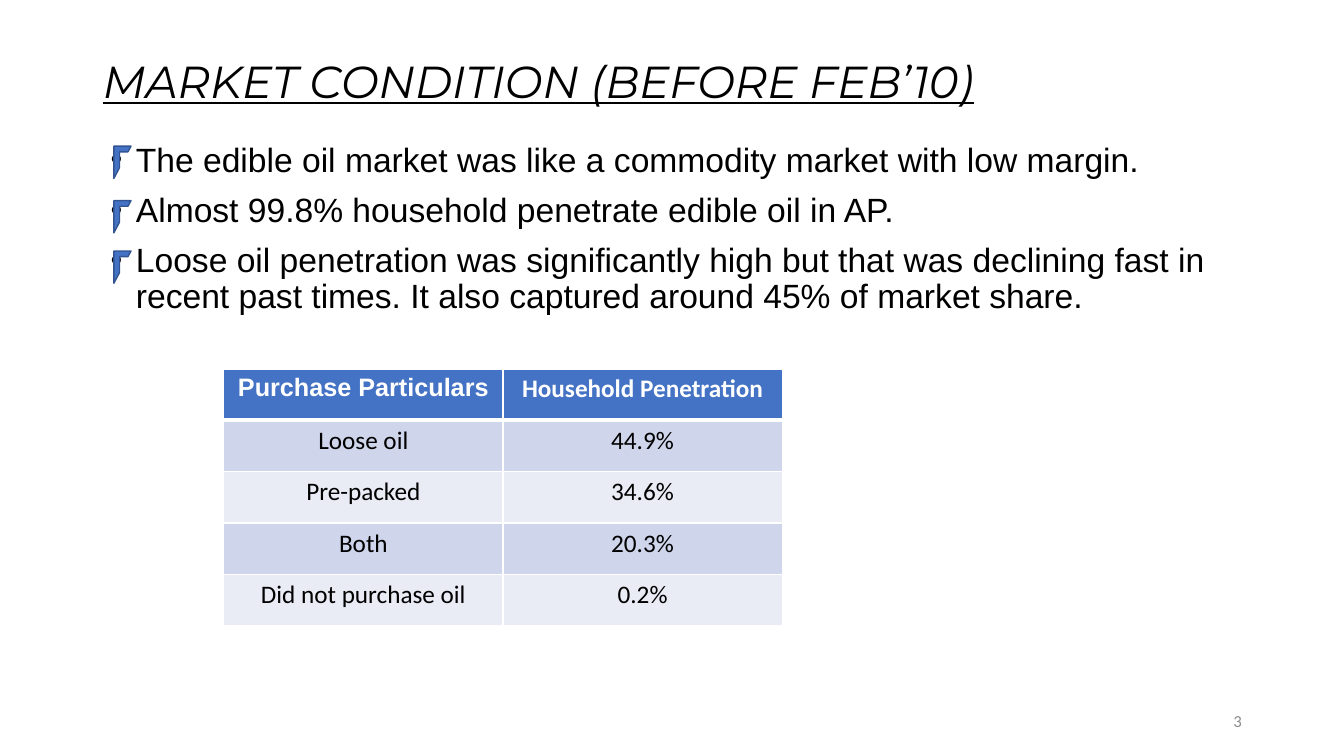
from dataclasses import dataclass

from lxml.etree import SubElement
from pptx import Presentation
from pptx.dml.color import RGBColor
from pptx.enum.shapes import MSO_SHAPE
from pptx.enum.text import MSO_ANCHOR, MSO_AUTO_SIZE, PP_ALIGN
from pptx.oxml.ns import qn
from pptx.util import Inches, Pt


@dataclass(frozen=True)
class Theme:
    """Colours, fonts and type sizes of the deck."""
    ink: str = "000000"
    paper: str = "FFFFFF"
    accent: str = "4472C4"
    accent_edge: str = "325491"
    bands: tuple = ("CFD5EA", "E9EBF5")
    muted: str = "8C8C8C"
    title_font: str = "Montserrat"
    body_font: str = "Arial"
    table_font: str = "Calibri"
    title_size: int = 32
    body_size: int = 24
    table_size: int = 18
    number_size: int = 12


class SlideBuilder:
    """Places styled elements on a slide by grid columns and rows."""
    COLUMNS, ROWS = 40, 30

    def __init__(self, presentation, theme):
        """Add a title-only slide to the presentation."""
        self.theme = theme
        self.column = presentation.slide_width / self.COLUMNS
        self.row = presentation.slide_height / self.ROWS
        self.slide = presentation.slides.add_slide(presentation.slide_layouts[5])

    def box(self, left, top, width, height):
        """Turn grid units into lengths."""
        return (round(left * self.column), round(top * self.row),
                round(width * self.column), round(height * self.row))

    def style(self, paragraph, font_name, size, color, bold=False):
        """Format every run of a paragraph."""
        for run in paragraph.runs:
            run.font.name = font_name
            run.font.size = Pt(size)
            run.font.bold = bold
            run.font.color.rgb = RGBColor.from_string(color)

    def title(self, text, *area):
        """Fill and place the title placeholder."""
        shape = self.slide.shapes.title
        shape.left, shape.top, shape.width, shape.height = self.box(*area)
        frame = shape.text_frame
        frame.text = text
        frame.auto_size = MSO_AUTO_SIZE.NONE
        frame.vertical_anchor = MSO_ANCHOR.MIDDLE
        paragraph = frame.paragraphs[0]
        paragraph.alignment = PP_ALIGN.LEFT
        paragraph.line_spacing = 0.9
        self.style(paragraph, self.theme.title_font, self.theme.title_size, self.theme.ink)
        for run in paragraph.runs:
            run.font.italic = True
            run.font.underline = True

    def text_box(self, text, *area):
        """Add a wrapping text box and return its frame."""
        frame = self.slide.shapes.add_textbox(*self.box(*area)).text_frame
        frame.word_wrap = True
        frame.text = text
        return frame

    def bullets(self, points, *area):
        """Add a bulleted list, one paragraph for each point."""
        frame = self.text_box("\n".join(points), *area)
        for paragraph in frame.paragraphs:
            paragraph.line_spacing = 0.9
            paragraph.space_before = Pt(10)
            self.style(paragraph, self.theme.body_font, self.theme.body_size, self.theme.ink)
            properties = paragraph._p.get_or_add_pPr()
            properties.set("marL", str(Inches(0.25)))
            properties.set("indent", str(-Inches(0.25)))
            SubElement(properties, qn("a:buFont"), typeface="Arial")
            SubElement(properties, qn("a:buChar"), char="•")

    def marker(self, *area):
        """Add a half-frame marker beside a bullet."""
        shape = self.slide.shapes.add_shape(MSO_SHAPE.HALF_FRAME, *self.box(*area))
        shape.shadow.inherit = False
        shape.fill.solid()
        shape.fill.fore_color.rgb = RGBColor.from_string(self.theme.accent)
        shape.line.color.rgb = RGBColor.from_string(self.theme.accent_edge)
        shape.line.width = Pt(1)

    def borders(self, cell, **widths):
        """Draw the four cell borders, one point wide unless given."""
        properties = cell._tc.get_or_add_tcPr()
        for side in "LRTB":
            line = SubElement(properties, qn(f"a:ln{side}"), w=str(Pt(widths.get(side, 1))))
            fill = SubElement(line, qn("a:solidFill"))
            SubElement(fill, qn("a:srgbClr"), val=self.theme.paper)

    def cell(self, cell, text, font_name, color, fill, bold=False, **widths):
        """Fill one centred table cell."""
        cell.text = text
        self.borders(cell, **widths)
        cell.fill.solid()
        cell.fill.fore_color.rgb = RGBColor.from_string(fill)
        paragraph = cell.text_frame.paragraphs[0]
        paragraph.alignment = PP_ALIGN.CENTER
        self.style(paragraph, font_name, self.theme.table_size, color, bold)

    def table(self, header, records, *area):
        """Add a table with a solid header and banded rows."""
        theme = self.theme
        table = self.slide.shapes.add_table(
            len(records) + 1, len(header), *self.box(*area)).table
        header_fonts = (theme.body_font, theme.table_font)
        for column, (text, font_name) in enumerate(zip(header, header_fonts)):
            self.cell(table.cell(0, column), text, font_name, theme.paper,
                      theme.accent, bold=True, B=3)
        for row, record in enumerate(records, start=1):
            for column, text in enumerate(record):
                self.cell(table.cell(row, column), text, theme.table_font, theme.ink,
                          theme.bands[(row - 1) % 2], T=3 if row == 1 else 1)

    def page_number(self, text, *area):
        """Add the right-aligned page number."""
        frame = self.text_box(text, *area)
        frame.vertical_anchor = MSO_ANCHOR.MIDDLE
        paragraph = frame.paragraphs[0]
        paragraph.alignment = PP_ALIGN.RIGHT
        self.style(paragraph, self.theme.table_font, self.theme.number_size, self.theme.muted)


def main():
    """Build the market condition slide."""
    presentation = Presentation()
    presentation.slide_width, presentation.slide_height = Inches(13.33), Inches(7.5)
    builder = SlideBuilder(presentation, Theme())
    builder.title("MARKET CONDITION (BEFORE FEB’10)", 2.76, 1.6, 34.5, 3.44)
    builder.bullets([
        "The edible oil market was like a commodity market with low margin.",
        "Almost 99.8% household penetrate edible oil in AP.",
        "Loose oil penetration was significantly high but that was declining fast in "
        "recent past times. It also captured around 45% of market share.",
    ], 3, 5.48, 34.5, 21.76)
    builder.table(("Purchase Particulars", "Household Penetration"), [
        ("Loose oil", "44.9%"),
        ("Pre-packed", "34.6%"),
        ("Both", "20.3%"),
        ("Did not purchase oil", "0.2%"),
    ], 6.66, 14.64, 16.62, 10.2)
    builder.page_number("3", 28.26, 27.8, 9, 1.6)
    for top in (5.8, 7.96, 9.96):
        builder.marker(3.39, top, 0.51, 1.28)
    presentation.save("out.pptx")


if __name__ == "__main__":
    main()
